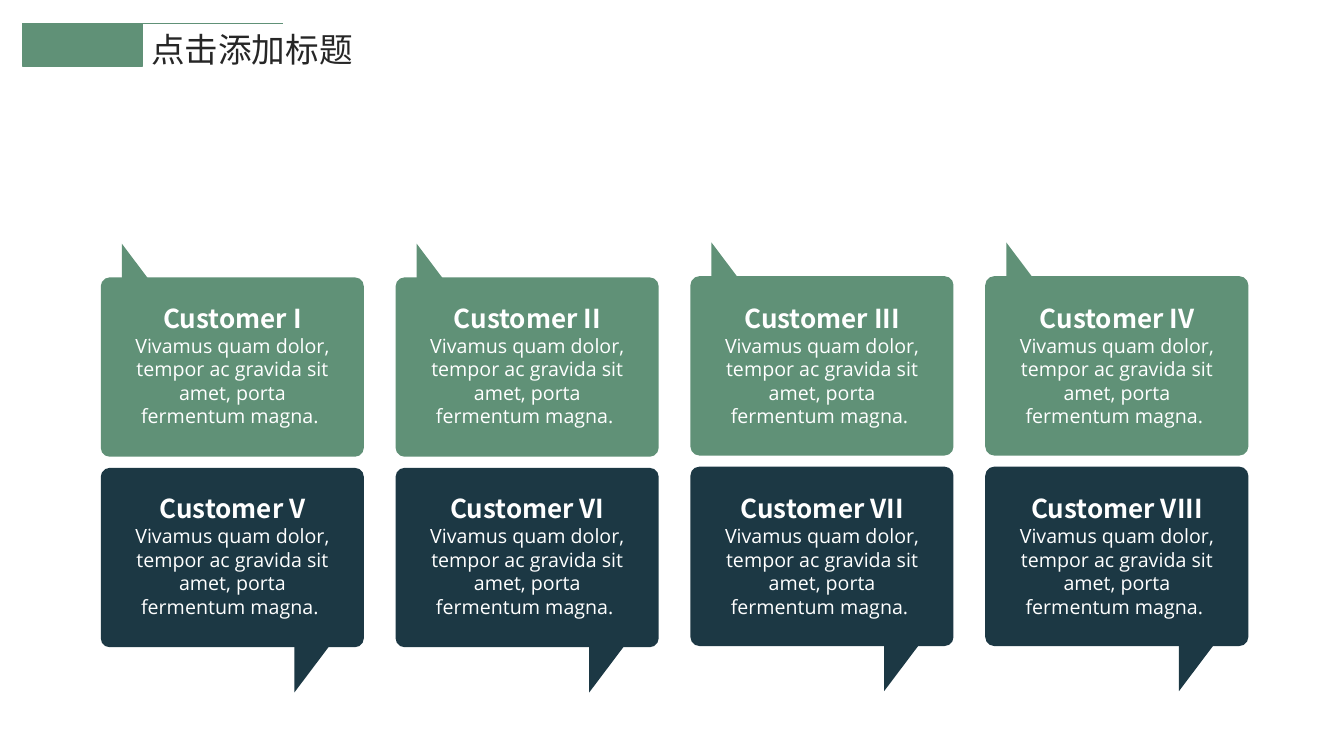
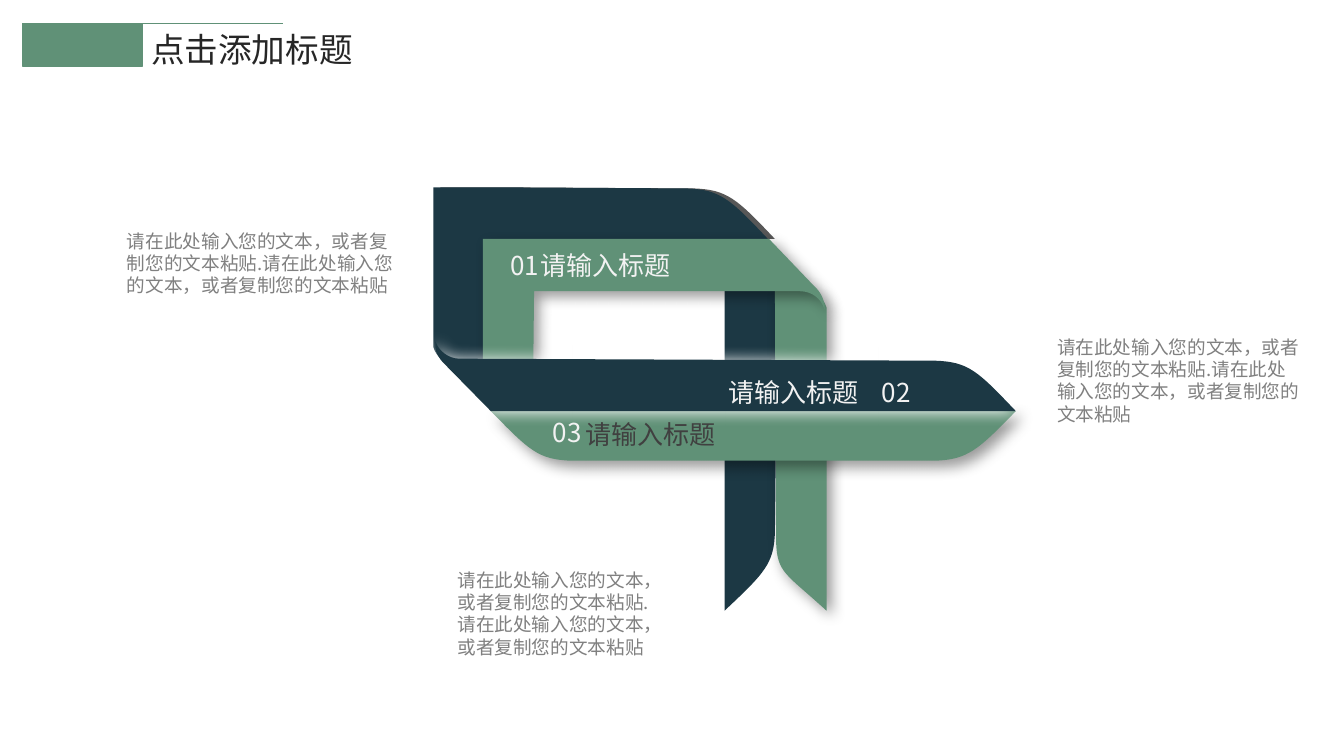
"""Build a slide of customer speech bubbles and a slide of folded ribbons."""
from lxml.etree import SubElement
from pptx import Presentation
from pptx.dml.color import RGBColor
from pptx.enum.shapes import MSO_CONNECTOR as CONNECTOR, MSO_SHAPE as SHAPE
from pptx.enum.text import MSO_ANCHOR as ANCHOR, PP_ALIGN as ALIGN
from pptx.oxml.ns import qn
from pptx.util import Cm, Pt

COLORS = {
    "green": "609177",
    "navy": "1C3844",
    "title": "262626",
    "body": "808080",
    "pale": "F2F2F2",
    "dark": "404040",
    "white": "FFFFFF",
    "black": "000000",
}
CJK_FONT = "Noto Sans CJK SC"
LATIN_FONT = "Open Sans"


def paint(shape, color):
    shape.shadow.inherit = False
    shape.fill.solid()
    shape.fill.fore_color.rgb = RGBColor.from_string(COLORS[color])
    shape.line.fill.background()


def add_text(slide, box, text, size, color, align=ALIGN.LEFT, anchor=ANCHOR.TOP, wrap=True):
    shape = slide.shapes.add_textbox(*[Cm(length) for length in box])
    frame = shape.text_frame
    frame.text = text
    frame.word_wrap = wrap
    frame.vertical_anchor = anchor
    for paragraph in frame.paragraphs:
        paragraph.alignment = align
        for run in paragraph.runs:
            run.font.size = Pt(size)
            run.font.name = CJK_FONT
            run.font.color.rgb = RGBColor.from_string(COLORS[color])
            SubElement(run.font._element, qn("a:ea"), typeface=CJK_FONT)
    return frame


presentation = Presentation()
presentation.slide_width = Cm(33.87)
presentation.slide_height = Cm(19.05)
blank_layout = presentation.slide_layouts[6]
slides = [presentation.slides.add_slide(blank_layout) for _ in range(2)]
customer_slide, ribbon_slide = slides

for slide in slides:
    rule = slide.shapes.add_connector(CONNECTOR.STRAIGHT, Cm(0.56), Cm(0.6), Cm(7.14), Cm(0.6))
    rule.line.color.rgb = RGBColor.from_string(COLORS["green"])
    rule.line.width = Pt(0.5)
    SubElement(rule.element.spPr, qn("a:effectLst"))
    band = slide.shapes.add_shape(SHAPE.RECTANGLE, Cm(0.58), Cm(0.6), Cm(3), Cm(1.07))
    paint(band, "green")
    band.line.color.rgb = RGBColor.from_string(COLORS["green"])
    band.line.width = Pt(1)
    add_text(slide, (3.56, 0.6, 6.05, 1.27), "点击添加标题", 24, "title")

BUBBLE_LEFT, BUBBLE_STEP = 2.54, 7.43
BUBBLE_TEXT = "Vivamus quam dolor, tempor ac gravida sit amet, porta fermentum magna. "
bubble_rows = [
    (6.99, "green", 0.53, -0.85, ["I", "II", "III", "IV"]),
    (11.79, "navy", 4.88, 4.24, ["V", "VI", "VII", "VIII"]),
]
for row_top, color, tail_left, tail_top, numerals in bubble_rows:
    for column, numeral in enumerate(numerals):
        left = BUBBLE_LEFT + column * BUBBLE_STEP
        top = row_top if column < 2 else row_top - 0.03
        bubble = customer_slide.shapes.add_shape(
            SHAPE.ROUNDED_RECTANGLE, Cm(left), Cm(top), Cm(6.63), Cm(4.52))
        bubble.adjustments[0] = 0.05
        paint(bubble, color)
        tail = customer_slide.shapes.add_shape(
            SHAPE.RIGHT_TRIANGLE, Cm(left + tail_left), Cm(top + tail_top), Cm(1.07), Cm(1.42))
        paint(tail, color)
        if tail_top > 0:
            tail.element.spPr.get_or_add_xfrm().set("flipV", "1")
        frame = add_text(customer_slide, (left + 0.46, row_top - 0.28, 5.72, 4.24),
                         f"Customer {numeral}\n{BUBBLE_TEXT}", 18.6, "white", ALIGN.CENTER)
        heading, description = frame.paragraphs
        heading.line_spacing = 2.0
        heading.runs[0].font.bold = True
        description.runs[0].font.size = Pt(14)
        description.runs[0].font.name = LATIN_FONT

ribbons = [
    ("navy", None, [
        (19.53, 7.26), (18.26, 7.26), (18.26, 15.39),
        (19.28, 14.43, 19.51, 14.2, 19.53, 13.39), (19.56, 10.57)]),
    ("green", ("black", 40, 10, 5, 45), [
        (19.53, 7.29), (20.22, 7.29), (20.5, 7.29, 20.75, 7.49, 20.83, 7.75),
        (20.83, 15.39), (19.81, 14.45, 19.58, 14.45, 19.56, 13.64)]),
    ("navy", ("black", 65, 0, 5, 0), [
        (10.92, 4.72), (12.22, 4.72), (17.32, 4.75),
        (18.14, 4.78, 18.39, 5, 19.35, 6.02), (12.22, 6.02), (12.22, 9.19),
        (11.56, 9.19), (11.25, 9.19, 11, 9.02, 10.92, 8.74)]),
    ("green", ("black", 40, 10, 6, 45), [
        (12.17, 6.02), (19.38, 6.02), (20.47, 7.16),
        (20.73, 7.39, 20.75, 7.57, 20.78, 7.67), (20.78, 7.8),
        (20.7, 7.52, 20.45, 7.34, 20.17, 7.34), (13.46, 7.34),
        (13.44, 9.19), (12.17, 9.19)]),
    ("green", ("black", 40, 10, 6, 45), [
        (12.37, 10.36), (25.6, 10.36), (24.64, 11.35, 24.38, 11.58, 23.57, 11.61),
        (14.4, 11.61), (13.56, 11.58, 13.34, 11.35, 12.37, 10.36)]),
    ("navy", ("white", 100, 11, 0, 250), [
        (10.97, 8.59), (11.05, 8.84, 11.3, 9.04, 11.58, 9.04), (23.57, 9.09),
        (24.41, 9.12, 24.64, 9.35, 25.6, 10.36), (12.37, 10.36), (11.25, 9.22),
        (11, 8.99, 10.97, 8.81, 10.97, 8.71)]),
]
for color, shadow, outline in ribbons:
    corners = [(Cm(segment[-2]), Cm(segment[-1])) for segment in outline]
    builder = ribbon_slide.shapes.build_freeform(*corners[0])
    builder.add_line_segments(corners[1:], close=True)
    ribbon = builder.convert_to_shape()
    paint(ribbon, color)
    sides = list(ribbon.element.iter(qn("a:lnTo")))
    for side, segment in zip(sides, outline[1:]):
        if len(segment) == 6:
            side.tag = qn("a:cubicBezTo")
            for point in list(side):
                side.remove(point)
            for x, y in zip(segment[::2], segment[1::2]):
                SubElement(side, qn("a:pt"), x=str(Cm(x) - ribbon.left), y=str(Cm(y) - ribbon.top))
    if shadow:
        shade, opacity, blur, distance, angle = shadow
        effects = ribbon.element.spPr.find(qn("a:effectLst"))
        outer = SubElement(effects, qn("a:outerShdw"), blurRad=str(Pt(blur)),
                           dist=str(Pt(distance)), dir=str(angle * 60000),
                           algn="ctr", rotWithShape="0")
        tint = SubElement(outer, qn("a:srgbClr"), val=COLORS[shade])
        SubElement(tint, qn("a:alpha"), val=str(opacity * 1000))

ribbon_labels = [
    ("01", (12.37, 6.05), (13.08, 6.15), "pale"),
    ("02", (21.74, 9.27), (17.81, 9.35), "pale"),
    ("03", (13.45, 10.26), (14.2, 10.41), "dark"),
]
for number, number_corner, label_corner, color in ribbon_labels:
    add_text(ribbon_slide, (*number_corner, 1.7, 1.24), number, 18.6, "pale",
             ALIGN.CENTER, ANCHOR.MIDDLE, wrap=False)
    add_text(ribbon_slide, (*label_corner, 4.37, 1.07), "请输入标题", 18.6, color,
             ALIGN.CENTER, ANCHOR.MIDDLE)

NOTE = "请在此处输入您的文本，或者复制您的文本粘贴.请在此处输入您的文本，或者复制您的文本粘贴"
for box in [(2.95, 5.66, 7.42, 3.33), (26.39, 8.33, 6.65, 3.89), (11.28, 14.2, 5.38, 4.47)]:
    add_text(ribbon_slide, box, NOTE, 13.3, "body")

presentation.save("out.pptx")
